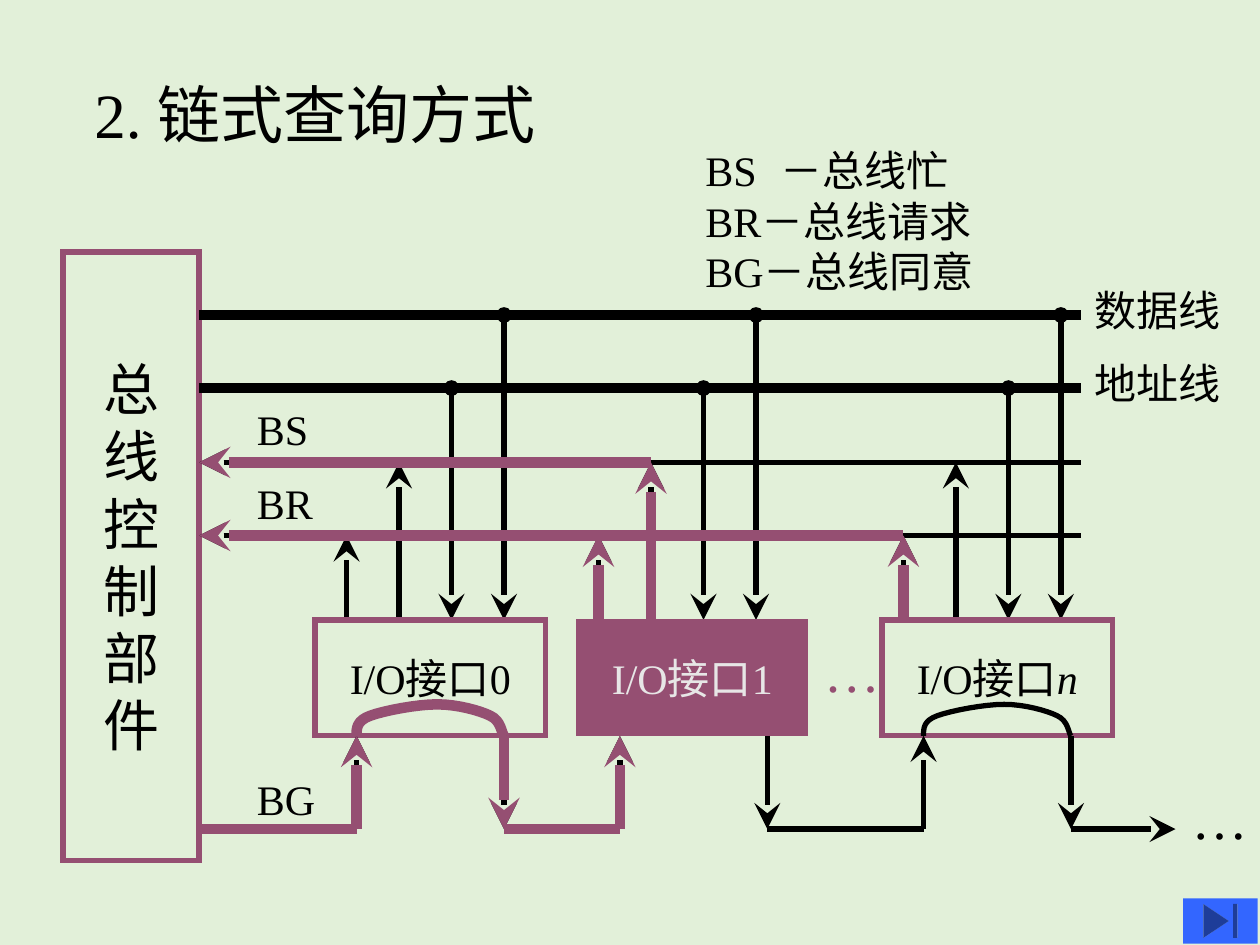
from pptx import Presentation
from pptx.dml.color import RGBColor
from pptx.enum.shapes import MSO_CONNECTOR, MSO_SHAPE
from pptx.enum.text import MSO_ANCHOR, PP_ALIGN
from pptx.oxml.ns import qn
from pptx.util import Inches, Pt
from lxml.etree import SubElement

BACKGROUND = RGBColor(0xE2, 0xF0, 0xD9)
BLACK = RGBColor(0, 0, 0)
PURPLE = RGBColor(0x95, 0x4F, 0x72)
LIGHT_GRAY = RGBColor(0xE7, 0xE6, 0xE6)
BUTTON_BLUE = RGBColor(0x33, 0x66, 0xFF)

# Levels of the bus lines and of the interfaces, in inches
BUS_LEFT, BUS_RIGHT = 1.58, 8.58
DATA_Y, ADDRESS_Y, BUSY_Y, REQUEST_Y = 2.5, 3.08, 3.67, 4.25
INTERFACE_TOP, INTERFACE_BOTTOM, GRANT_Y = 4.92, 5.84, 6.58
INTERFACE_WIDTH = 1.83
PIN_STEP = 5 / 12
GRANT_SPAN = 1.17

# One entry per interface: box left, first pin, grant input, number
INTERFACES = [
    (2.5, 2.75, 2.83, "0"),
    (4.58, 4.75, 4.92, "1"),
    (7.0, 7.17, 7.33, "n"),
]

# Cubic segments of the grant arch, relative to its lower left corner
ARCH = [
    [(0, 0), (0, -0.06), (0, -0.12), (0.11, -0.16)],
    [(0.11, -0.16), (0.22, -0.2), (0.48, -0.25), (0.64, -0.25)],
    [(0.64, -0.25), (0.8, -0.25), (0.98, -0.2), (1.06, -0.16)],
    [(1.06, -0.16), (1.15, -0.12), (1.15, -0.02), (1.17, 0)],
]


def inches(box):
    return [Inches(value) for value in box]


def write(frame, lines, size, color=BLACK, align=PP_ALIGN.LEFT, wrap=False,
          anchor=MSO_ANCHOR.TOP):
    """Fill a text frame; each line is a list of (text, italic) runs."""
    frame.word_wrap = wrap
    frame.vertical_anchor = anchor
    font_format = {"name": "Times New Roman", "size": Pt(size)}
    for index, line in enumerate(lines):
        paragraph = frame.paragraphs[0] if index == 0 else frame.add_paragraph()
        paragraph.alignment = align
        for text, italic in line:
            run = paragraph.add_run()
            run.text = text
            for name, value in {**font_format, "italic": italic}.items():
                setattr(run.font, name, value)
            run.font.color.rgb = color


def add_text(slide, box, lines, size, color=BLACK):
    text_box = slide.shapes.add_textbox(*inches(box))
    write(text_box.text_frame, [[(line, False)] for line in lines], size, color, wrap=True)
    return text_box


def add_box(slide, box, lines, size, color=BLACK, fill=None, line_width=3):
    shape = slide.shapes.add_shape(MSO_SHAPE.RECTANGLE, *inches(box))
    shape.shadow.inherit = False
    if fill is None:
        shape.fill.background()
    else:
        shape.fill.solid()
        shape.fill.fore_color.rgb = fill
    shape.line.color.rgb = PURPLE
    shape.line.width = Pt(line_width)
    # Square outline corners
    SubElement(shape._element.spPr.find(qn("a:ln")), qn("a:miter"), lim="800000")
    write(shape.text_frame, lines, size, color, PP_ALIGN.CENTER, anchor=MSO_ANCHOR.MIDDLE)


def add_line(slide, start, end, color=BLACK, width=3, head=None, tail=None):
    connector = slide.shapes.add_connector(MSO_CONNECTOR.STRAIGHT, *inches(start + end))
    connector.line.color.rgb = color
    connector.line.width = Pt(width)
    properties = connector._element.spPr
    outline = properties.find(qn("a:ln"))
    for tag, kind in (("a:headEnd", head), ("a:tailEnd", tail)):
        if kind:
            size = "lg" if kind == "stealth" and width == 3 else "med"
            SubElement(outline, qn(tag), type=kind, w=size, len=size)
    SubElement(properties, qn("a:effectLst"))


def add_arch(slide, left, bottom, color=BLACK, width=3):
    points = [(left, bottom)]
    for a, b, c, d in ARCH:
        for step in range(1, 9):
            t = step / 8
            weights = ((1 - t) ** 3, 3 * t * (1 - t) ** 2, 3 * t * t * (1 - t), t ** 3)
            x, y = (sum(w * p[axis] for w, p in zip(weights, (a, b, c, d))) for axis in (0, 1))
            points.append((left + x, bottom + y))
    builder = slide.shapes.build_freeform(*inches(points[0]), scale=1.0)
    builder.add_line_segments([inches(point) for point in points[1:]], close=False)
    arch = builder.convert_to_shape()
    arch.shadow.inherit = False
    arch.fill.background()
    arch.line.color.rgb = color
    arch.line.width = Pt(width)


def add_grant_hop(slide, start, end, color=BLACK, width=3):
    """Run along the grant level, then up into an interface."""
    add_line(slide, (start, GRANT_Y), (end, GRANT_Y), color, width)
    add_line(slide, (end, GRANT_Y), (end, INTERFACE_BOTTOM), color, width, tail="stealth")


def add_grant_output(slide, x, color=BLACK, width=3):
    add_line(slide, (x, INTERFACE_BOTTOM), (x, GRANT_Y), color, width, tail="stealth")


def add_bus_lines(slide, left, right):
    for y in (DATA_Y, ADDRESS_Y):
        add_line(slide, (left, y), (right, y), width=6)
    for y in (BUSY_Y, REQUEST_Y):
        add_line(slide, (left, y), (right, y), head="stealth")
    for y, label in ((2.21, "数据线"), (2.79, "地址线")):
        add_text(slide, (8.59, y, 1.35, 0.5), [label], 24)
    for y, label in ((3.15, "BS"), (3.74, "BR"), (6.09, "BG")):
        add_text(slide, (1.94, y, 0.85, 0.5), [label], 24)


def add_interface(slide, box, first_pin, number, selected):
    left, top, width, height = box
    # Requests go up to the bus, address and data come down
    pins = [first_pin + index * PIN_STEP for index in range(4)]
    for x, y in zip(pins[:2], (REQUEST_Y, BUSY_Y)):
        add_line(slide, (x, top), (x, y), tail="stealth")
    for x, y in zip(pins[2:], (ADDRESS_Y, DATA_Y)):
        add_line(slide, (x, y), (x, top), head="oval", tail="stealth")
    label = [[("I/O接口", False), (number, number == "n")]]
    if selected:
        add_box(slide, box, label, 24, LIGHT_GRAY, PURPLE, 0.75)
    else:
        add_box(slide, box, label, 24)


def add_grant_chain(slide):
    previous = BUS_LEFT
    for _, _, grant_in, number in INTERFACES:
        add_grant_hop(slide, previous, grant_in)
        previous = grant_in + GRANT_SPAN
        add_grant_output(slide, previous)
        if number == "n":
            add_arch(slide, grant_in, INTERFACE_BOTTOM)
    add_line(slide, (previous, GRANT_Y), (9.33, GRANT_Y), tail="stealth")


def add_active_route(slide):
    """Highlight the requests, the busy signal and the grant to interface 1."""
    style = {"color": PURPLE, "width": 6}
    (_, _, grant_0, _), (_, pin_1, grant_1, _), (_, pin_n, _, _) = INTERFACES
    busy_pin = pin_1 + PIN_STEP
    for x, y in ((busy_pin, BUSY_Y), (pin_n, REQUEST_Y)):
        add_line(slide, (x, y), (BUS_LEFT, y), tail="stealth", **style)
    for x, y in ((pin_1, REQUEST_Y), (pin_n, REQUEST_Y), (busy_pin, BUSY_Y)):
        add_line(slide, (x, INTERFACE_TOP), (x, y), tail="stealth", **style)
    add_grant_hop(slide, BUS_LEFT, grant_0, **style)
    add_arch(slide, grant_0, INTERFACE_BOTTOM, **style)
    add_grant_output(slide, grant_0 + GRANT_SPAN, **style)
    add_grant_hop(slide, grant_0 + GRANT_SPAN, grant_1, **style)


def add_legend(slide, box):
    lines = ["BS\t－总线忙", "BR－总线请求", "BG－总线同意"]
    legend = add_text(slide, box, lines, 24)
    properties = legend.text_frame.paragraphs[0]._p.get_or_add_pPr()
    tabs = SubElement(properties, qn("a:tabLst"))
    SubElement(tabs, qn("a:tab"), pos=str(Inches(0.6)), algn="l")


def add_end_button(slide, box):
    button = slide.shapes.add_shape(MSO_SHAPE.ACTION_BUTTON_END, *inches(box))
    button.shadow.inherit = False
    button.fill.solid()
    button.fill.fore_color.rgb = BUTTON_BLUE
    button.line.fill.background()


def main():
    presentation = Presentation()
    presentation.slide_width, presentation.slide_height = Inches(10), Inches(7.5)
    slide = presentation.slides.add_slide(presentation.slide_layouts[6])
    slide.background.fill.solid()
    slide.background.fill.fore_color.rgb = BACKGROUND

    add_text(slide, (0.65, 0.55, 4.82, 0.7), ["2. 链式查询方式"], 36)
    add_legend(slide, (5.5, 1.1, 2.97, 1.3))
    add_box(slide, (0.5, 2, 1.08, 4.83), [[(char, False)] for char in "总线控制部件"], 32)
    add_bus_lines(slide, BUS_LEFT, BUS_RIGHT)
    for left, first_pin, _, number in INTERFACES:
        box = (left, INTERFACE_TOP, INTERFACE_WIDTH, INTERFACE_BOTTOM - INTERFACE_TOP)
        add_interface(slide, box, first_pin, number, selected=number == "1")
    add_grant_chain(slide)
    add_text(slide, (6.44, 5, 0.64, 0.64), ["…"], 32, PURPLE)
    add_text(slide, (9.36, 6.17, 0.64, 0.64), ["…"], 32)
    add_active_route(slide)
    add_end_button(slide, (9.39, 7.13, 0.59, 0.36))
    presentation.save("out.pptx")


if __name__ == "__main__":
    main()
